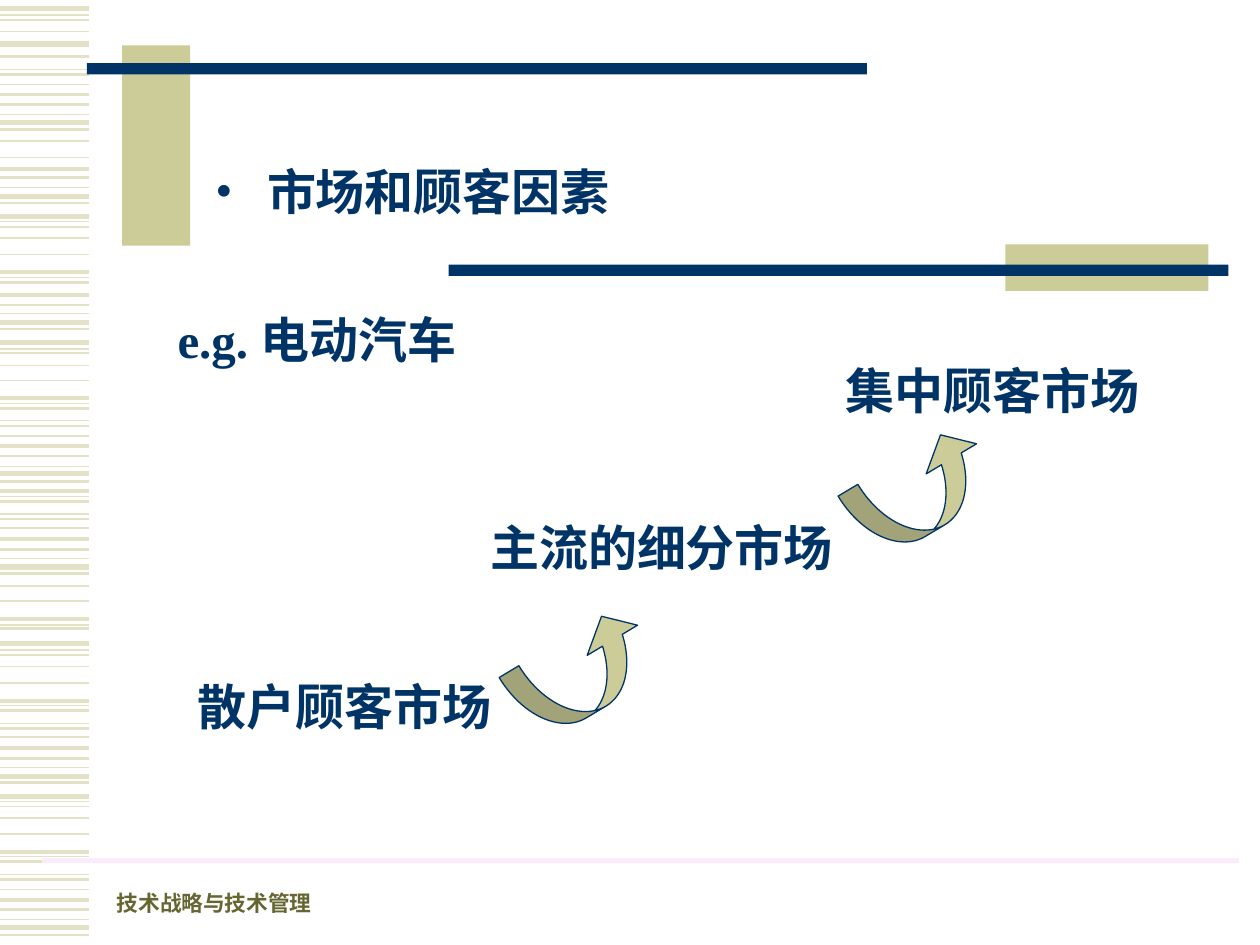
from typing import NamedTuple

from lxml import etree
from pptx import Presentation
from pptx import util as u
from pptx.dml.color import RGBColor
from pptx.enum import shapes, text
from pptx.oxml.ns import qn

SCALE = 9144
FONT = "Times New Roman"
NAVY, KHAKI, PALE, PINK, OLIVE = "003366", "CCCC99", "E3E2C7", "FBEBFB", "666633"


class Bar(NamedTuple):
    left: int
    top: int
    width: int
    height: int
    color: str


class Label(NamedTuple):
    words: str
    left: int
    top: int
    width: int
    height: int = 57
    size: float = 28
    color: str = NAVY
    align: text.PP_ALIGN = text.PP_ALIGN.CENTER
    anchor: text.MSO_ANCHOR = text.MSO_ANCHOR.TOP
    wrap: bool = False


class Arrow(NamedTuple):
    left: int
    top: int


STRIPES = {
    0.75: (12, 55, 91, 149, 176, 220, 249, 277, 320, 334, 370, 394,
           408, 443, 496, 516, 560, 574, 609, 636, 680, 694, 730),
    1: (16, 25, 67, 112, 125, 180, 189, 202, 280, 290, 302, 346,
        419, 465, 477, 520, 529, 542, 585, 640, 649, 662, 706),
    1.5: (45, 59, 83, 103, 141, 161, 224, 242, 261, 324, 338, 362, 382,
          398, 412, 436, 455, 499, 564, 578, 602, 621, 684, 698, 722, 742),
    2.25: (75, 134, 216, 234, 316, 354, 390, 428, 491, 556, 594, 676, 714),
    3: (7, 35, 97, 156, 172, 256, 272, 376, 450, 511, 616, 632, 736),
}
BARS = (
    Bar(97, 36, 54, 159, KHAKI),
    Bar(69, 50, 619, 9, NAVY),
    Bar(798, 194, 161, 37, KHAKI),
    Bar(356, 210, 619, 9, NAVY),
)
HEADING = Label("市场和顾客因素", 161, 123, 669, align=text.PP_ALIGN.LEFT, wrap=True)
LABELS = (
    Label("技术战略与技术管理", 83, 698, 260, 34, 12.4, OLIVE,
          text.PP_ALIGN.LEFT, text.MSO_ANCHOR.BOTTOM, True),
    Label("集中顾客市场", 642, 281, 291),
    Label("散户顾客市场", 147, 532, 253),
    Label("主流的细分市场", 379, 406, 292),
    Label("e.g. 电动汽车", 98, 241, 307),
)
ARROWS = (Arrow(404, 503), Arrow(673, 359))


def px(length: int) -> u.Emu:
    return u.Emu(length * SCALE)


def rgb(color: str) -> RGBColor:
    return RGBColor.from_string(color)


def draw_line(slide, left: int, right: int, y: int, color: str, weight: float) -> None:
    line = slide.shapes.add_connector(
        shapes.MSO_CONNECTOR.STRAIGHT, px(left), px(y), px(right), px(y))
    line.line.color.rgb = rgb(color)
    line.line.width = u.Pt(weight)
    etree.SubElement(line._element.spPr, qn("a:effectLst"))


def draw_bar(slide, bar: Bar) -> None:
    shape = slide.shapes.add_shape(
        shapes.MSO_SHAPE.RECTANGLE, *(px(length) for length in bar[:4]))
    shape.shadow.inherit = False
    shape.fill.solid()
    shape.fill.fore_color.rgb = rgb(bar.color)
    shape.line.fill.background()


def draw_arrow(slide, arrow: Arrow) -> None:
    shape = slide.shapes.add_shape(
        shapes.MSO_SHAPE.CURVED_UP_ARROW, px(arrow.left), px(arrow.top), px(118), px(63))
    shape.shadow.inherit = False
    shape.rotation = 329.1
    for index, value in enumerate((0.29, 0.74, 0.33)):
        shape.adjustments[index] = value
    shape.fill.solid()
    shape.fill.fore_color.rgb = rgb(KHAKI)
    shape.line.color.rgb = rgb(NAVY)
    shape.line.width = u.Pt(0.75)


def write_label(shape, label: Label) -> None:
    shape.left, shape.top = px(label.left), px(label.top)
    shape.width, shape.height = px(label.width), px(label.height)
    frame = shape.text_frame
    frame.text = label.words
    frame.word_wrap = label.wrap
    frame.auto_size = text.MSO_AUTO_SIZE.NONE
    frame.vertical_anchor = label.anchor
    paragraph = frame.paragraphs[0]
    paragraph.alignment = label.align
    font = paragraph.runs[0].font
    font.name, font.size, font.bold = FONT, u.Pt(label.size), True
    font.color.rgb = rgb(label.color)


def add_bullet(paragraph, indent: int) -> None:
    properties = paragraph._p.get_or_add_pPr()
    properties.set("marL", str(px(indent)))
    properties.set("indent", str(-px(indent)))
    etree.SubElement(properties, qn("a:buFont"), typeface=FONT)
    etree.SubElement(properties, qn("a:buChar"), char="•")


def main() -> None:
    presentation = Presentation()
    presentation.slide_width, presentation.slide_height = px(1000), px(750)
    slide = presentation.slides.add_slide(presentation.slide_layouts[5])
    for weight, heights in STRIPES.items():
        for y in heights:
            draw_line(slide, 0, 71, y, PALE, weight)
    for bar in BARS:
        draw_bar(slide, bar)
    draw_line(slide, 33, 983, 683, PINK, 3)
    title = slide.shapes.title
    write_label(title, HEADING)
    add_bullet(title.text_frame.paragraphs[0], 41)
    for label in LABELS:
        write_label(slide.shapes.add_textbox(0, 0, 0, 0), label)
    for arrow in ARROWS:
        draw_arrow(slide, arrow)
    presentation.save("out.pptx")


if __name__ == "__main__":
    main()
